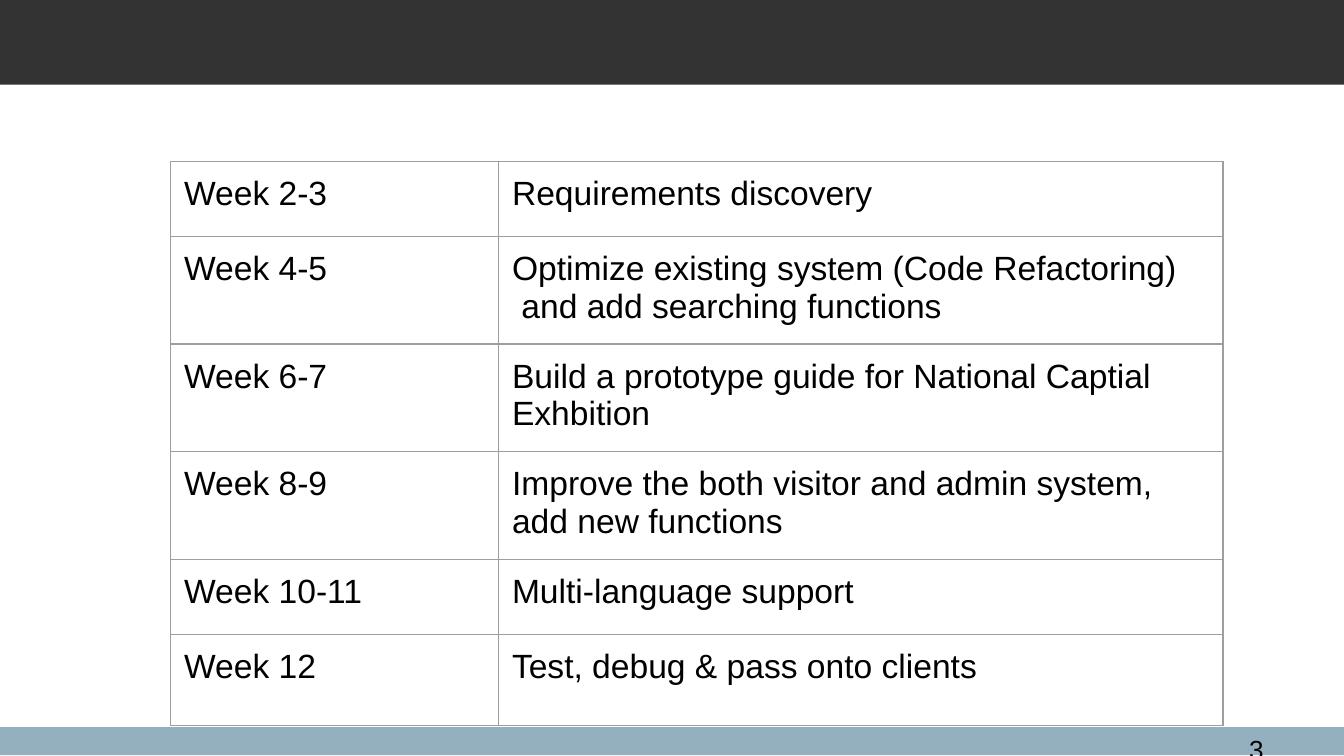
"""Build the project schedule slide with its week-by-week table."""
from lxml import etree
from pptx import Presentation
from pptx import util as u
from pptx.dml.color import RGBColor
from pptx.enum import shapes, text
from pptx.oxml.ns import qn


def paint(fill, color):
    fill.solid()
    fill.fore_color.rgb = RGBColor.from_string(color)


def add_text(para, words, size):
    span = para.add_run()
    span.text = words
    span.font.size = u.Pt(size)
    span.font.name = "Arial"
    paint(span.font.fill, "000000")


deck = Presentation()
deck.slide_width = u.Inches(10)
deck.slide_height = deck.slide_width * 9 // 16
page = deck.slides.add_slide(deck.slide_layouts[6])

for top, height, color in [(5.41, 0.21, "94B0BE"), (0, 0.63, "333333")]:
    band = page.shapes.add_shape(
        shapes.MSO_SHAPE.RECTANGLE, 0, u.Inches(top), deck.slide_width, u.Inches(height))
    band.shadow.inherit = False
    band.line.fill.background()
    paint(band.fill, color)

number_box = page.shapes.add_textbox(
    u.Inches(8.86), u.Inches(5.41), u.Inches(0.64), u.Inches(0.18))
number_box.text_frame.word_wrap = True
number_para = number_box.text_frame.paragraphs[0]
number_para.alignment = text.PP_ALIGN.RIGHT
add_text(number_para, "3", 14)

schedule = [
    ("Week 2-3", ["Requirements discovery"], 0.56),
    ("Week 4-5", ["Optimize existing system (Code Refactoring)",
                  "and add searching functions"], 0.78),
    ("Week 6-7", ["Build a prototype guide for National Captial Exhbition"], 0.78),
    ("Week 8-9", ["Improve the both visitor and admin system, add new functions"], 0.78),
    ("Week 10-11", ["Multi-language support"], 0.56),
    ("Week 12", ["Test, debug & pass onto clients"], 0.68),
]
widths = [2.44, 5.39]
table = page.shapes.add_table(
    len(schedule), len(widths), u.Inches(1.27), u.Inches(1.2),
    u.Inches(sum(widths)), u.Inches(sum(height for _, _, height in schedule))).table
table.first_row = table.horz_banding = False
for column, width in zip(table.columns, widths):
    column.width = u.Inches(width)

for row, (weeks, tasks, height) in zip(table.rows, schedule):
    row.height = u.Inches(height)
    for cell, lines in zip(row.cells, [[weeks], tasks]):
        cell.margin_left = cell.margin_right = u.Inches(0.1)
        cell.margin_top = cell.margin_bottom = u.Inches(0.1)
        properties = cell._tc.get_or_add_tcPr()
        for side in ["a:lnL", "a:lnR", "a:lnT", "a:lnB"]:
            border = etree.SubElement(properties, qn(side), w=str(u.Pt(0.75)))
            solid = etree.SubElement(border, qn("a:solidFill"))
            etree.SubElement(solid, qn("a:srgbClr"), val="9E9E9E")
        paint(cell.fill, "FFFFFF")
        for index, line in enumerate(lines):
            para = cell.text_frame.add_paragraph() if index else cell.text_frame.paragraphs[0]
            if index:
                para._p.get_or_add_pPr().set("marL", str(u.Inches(0.07)))
            add_text(para, line, 18)

deck.save("out.pptx")
